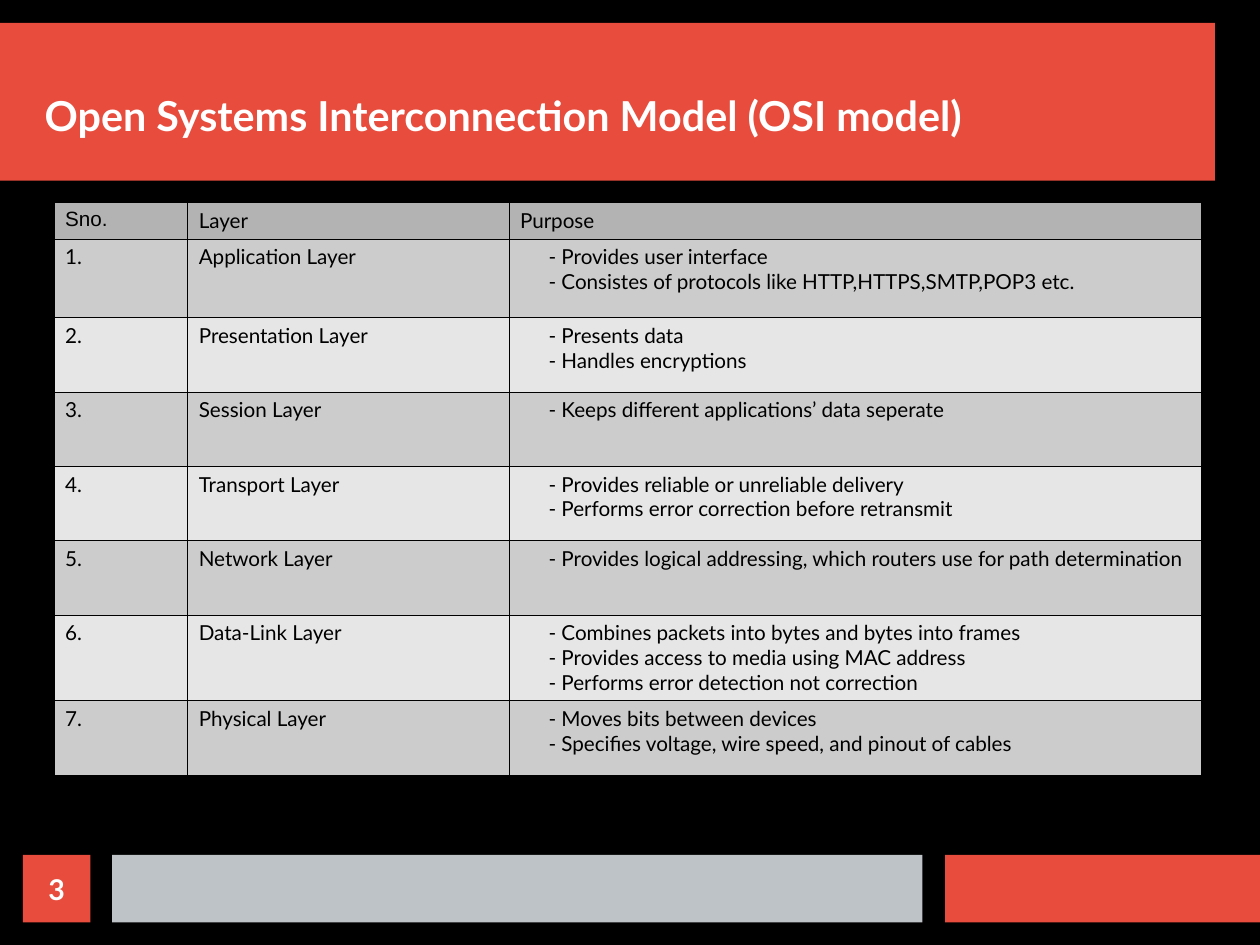
"""Build a slide that lists the seven layers of the OSI model."""
from dataclasses import dataclass

from lxml.etree import SubElement
from pptx import Presentation
from pptx.dml.color import RGBColor
from pptx.enum.shapes import MSO_SHAPE
from pptx.enum.text import MSO_ANCHOR as Anchor, PP_ALIGN as Align
from pptx.oxml.ns import qn
from pptx.shapes.autoshape import Shape
from pptx.slide import Slide
from pptx.table import _Cell as Cell
from pptx.text.text import TextFrame
from pptx.util import Inches, Pt

BLACK = RGBColor(0x00, 0x00, 0x00)
WHITE = RGBColor(0xFF, 0xFF, 0xFF)
RED = RGBColor(0xE7, 0x4C, 0x3C)
SILVER = RGBColor(0xBD, 0xC3, 0xC7)
HEADER_GRAY = RGBColor(0xB3, 0xB3, 0xB3)
BAND_GRAYS = (RGBColor(0xCC, 0xCC, 0xCC), RGBColor(0xE6, 0xE6, 0xE6))
BORDER_WIDTH = Pt(0.06)
CM_PER_INCH = 2.54
SLIDE_WIDTH = Inches(28 / CM_PER_INCH)
SLIDE_HEIGHT = Inches(21 / CM_PER_INCH)


@dataclass(frozen=True)
class Box:
    left: float
    top: float
    width: float
    height: float

    def lengths(self) -> tuple[Inches, ...]:
        return tuple(Inches(n) for n in (self.left, self.top, self.width, self.height))


@dataclass(frozen=True)
class Layer:
    name: str
    purposes: tuple[str, ...]
    height: float = 0.65


TITLE_BAND = Box(0, 0.2, 10.63, 1.38)
FOOTER_RED = Box(8.27, 7.48, 2.76, 0.59)
FOOTER_SILVER = Box(0.98, 7.48, 7.09, 0.59)
NUMBER_BOX = Box(0.2, 7.48, 0.59, 0.59)
TITLE_BOX = Box(0.39, 0.24, 10.24, 0.98)
TABLE_BOX = Box(0.47, 1.77, 10.04, 4.95)
COLUMN_WIDTHS = (1.17, 2.81, 6.06)
HEADER_HEIGHT = 0.31
HEADERS = ("Sno.", "Layer", "Purpose")
LAYERS = (
    Layer("Application Layer", (
        "Provides user interface",
        "Consistes of protocols like HTTP,HTTPS,SMTP,POP3 etc."), 0.69),
    Layer("Presentation Layer", ("Presents data", "Handles encryptions")),
    Layer("Session Layer", ("Keeps different applications’ data seperate",)),
    Layer("Transport Layer", (
        "Provides reliable or unreliable delivery",
        "Performs error correction before retransmit")),
    Layer("Network Layer", (
        "Provides logical addressing, which routers use for path determination",)),
    Layer("Data-Link Layer", (
        "Combines packets into bytes and bytes into frames",
        "Provides access to media using MAC address",
        "Performs error detection not correction"), 0.71),
    Layer("Physical Layer", (
        "Moves bits between devices",
        "Specifies voltage, wire speed, and pinout of cables")),
)


def format_text(text_frame: TextFrame, size: float, color: RGBColor,
                bold: bool = False, font_name: str = "Lato") -> None:
    for paragraph in text_frame.paragraphs:
        for run in paragraph.runs:
            run.font.name = font_name
            run.font.size = Pt(size)
            run.font.bold = bold
            run.font.color.rgb = color


def remove_margins(text_frame: TextFrame) -> None:
    text_frame.margin_left = text_frame.margin_right = Inches(0)
    text_frame.margin_top = text_frame.margin_bottom = Inches(0)


def add_rectangle(slide: Slide, box: Box, color: RGBColor) -> Shape:
    shape = slide.shapes.add_shape(MSO_SHAPE.RECTANGLE, *box.lengths())
    shape.shadow.inherit = False
    shape.fill.solid()
    shape.fill.fore_color.rgb = color
    shape.line.fill.background()
    return shape


def add_title(slide: Slide) -> None:
    text_frame = slide.shapes.add_textbox(*TITLE_BOX.lengths()).text_frame
    text_frame.word_wrap = True
    text_frame.vertical_anchor = Anchor.BOTTOM
    remove_margins(text_frame)
    text_frame.text = "Open Systems Interconnection Model (OSI model)"
    format_text(text_frame, 26, WHITE, bold=True)


def add_slide_number(slide: Slide) -> None:
    text_frame = add_rectangle(slide, NUMBER_BOX, RED).text_frame
    text_frame.vertical_anchor = Anchor.MIDDLE
    remove_margins(text_frame)
    text_frame.text = "3"
    text_frame.paragraphs[0].alignment = Align.CENTER
    format_text(text_frame, 18, WHITE, bold=True)


def add_borders(cell: Cell) -> None:
    properties = cell._tc.get_or_add_tcPr()
    for side in ("a:lnL", "a:lnR", "a:lnT", "a:lnB"):
        line = SubElement(properties, qn(side), w=str(BORDER_WIDTH))
        fill = SubElement(line, qn("a:solidFill"))
        SubElement(fill, qn("a:srgbClr"), val=str(BLACK))


def fill_cell(cell: Cell, text: str, color: RGBColor, font_name: str = "Lato") -> None:
    add_borders(cell)
    cell.fill.solid()
    cell.fill.fore_color.rgb = color
    cell.text_frame.text = text
    format_text(cell.text_frame, 13, BLACK, font_name=font_name)


def indent_purposes(cell: Cell) -> None:
    for paragraph in cell.text_frame.paragraphs:
        properties = paragraph._p.get_or_add_pPr()
        properties.set("marL", str(Inches(0.5)))
        properties.set("indent", str(Inches(-0.25)))


def add_layer_table(slide: Slide) -> None:
    table = slide.shapes.add_table(
        len(LAYERS) + 1, len(HEADERS), *TABLE_BOX.lengths()).table
    for column, width in zip(table.columns, COLUMN_WIDTHS):
        column.width = Inches(width)
    table.rows[0].height = Inches(HEADER_HEIGHT)
    for column_index, header in enumerate(HEADERS):
        font_name = "Arial" if column_index == 0 else "Lato"
        fill_cell(table.cell(0, column_index), header, HEADER_GRAY, font_name)
    for number, layer in enumerate(LAYERS, start=1):
        table.rows[number].height = Inches(layer.height)
        purposes = "\n".join(f"- {purpose}" for purpose in layer.purposes)
        color = BAND_GRAYS[(number - 1) % 2]
        for column_index, text in enumerate((f"{number}.", layer.name, purposes)):
            fill_cell(table.cell(number, column_index), text, color)
        indent_purposes(table.cell(number, 2))


def main() -> None:
    presentation = Presentation()
    presentation.slide_width = SLIDE_WIDTH
    presentation.slide_height = SLIDE_HEIGHT
    slide = presentation.slides.add_slide(presentation.slide_layouts[6])
    slide.background.fill.solid()
    slide.background.fill.fore_color.rgb = BLACK
    add_rectangle(slide, TITLE_BAND, RED)
    add_rectangle(slide, FOOTER_RED, RED)
    add_rectangle(slide, FOOTER_SILVER, SILVER)
    add_title(slide)
    add_layer_table(slide)
    add_slide_number(slide)
    presentation.save("out.pptx")


if __name__ == "__main__":
    main()
